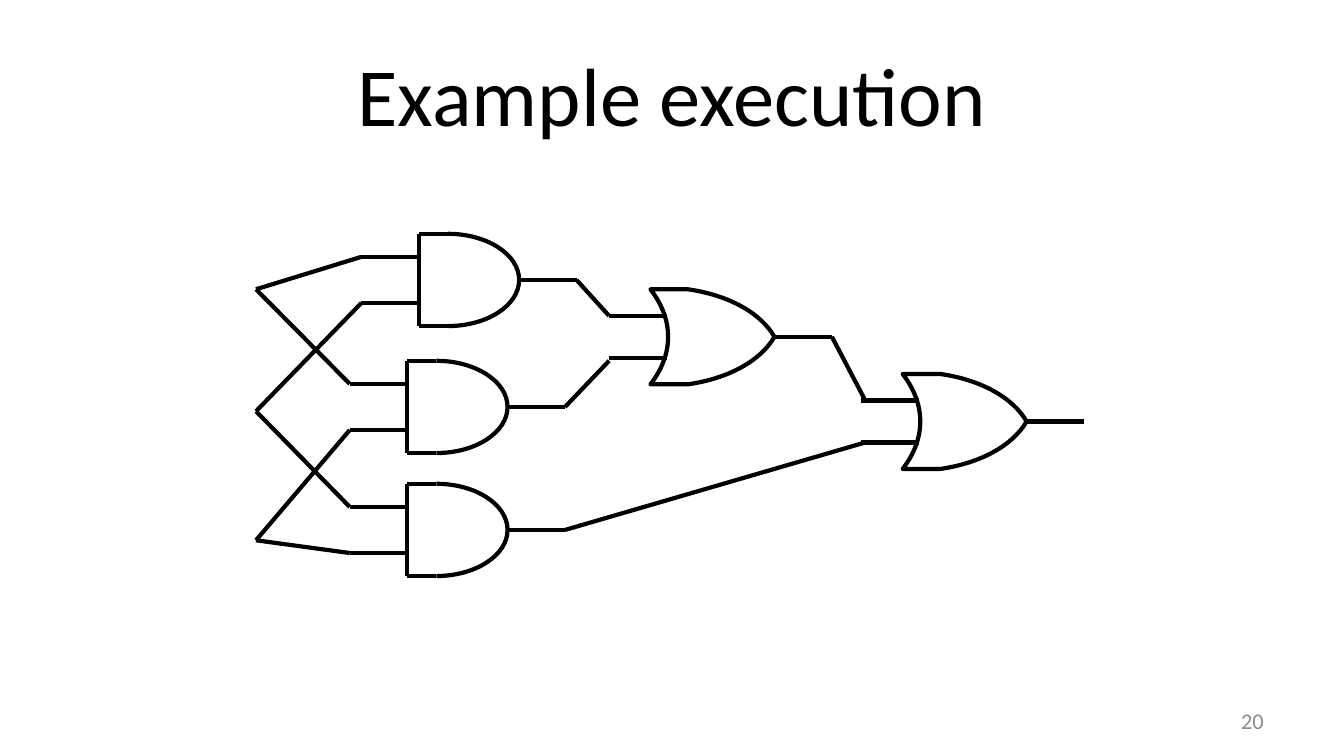
from lxml import etree
from pptx import Presentation
from pptx import util as u
from pptx.dml.color import RGBColor
from pptx.enum import shapes, text
from pptx.oxml import ns

BLACK = RGBColor(0x00, 0x00, 0x00)
GRAY = RGBColor(0x8C, 0x8C, 0x8C)
FONT = "Calibri"
WIDTH, HEIGHT = u.Inches(13.333), u.Inches(7.5)
COLUMNS, ROWS = 160, 90
LEAD = 6.84
AND_WIDTH, AND_HEIGHT, AND_FLAT = 11.94, 10.98, 3.48
OR_WIDTH, OR_HEIGHT = 14.76, 11.32
OR_INPUT = 1.92
ARC = 0.55


def column(count):
    return round(WIDTH * count / COLUMNS)


def row(count):
    return round(HEIGHT * count / ROWS)


def stroke(item):
    item.line.color.rgb = BLACK
    item.line.width = u.Pt(3)


def add_outline(group, start, steps, close):
    points = [(column(x), row(y)) for step in steps for x, y in step]
    builder = group.shapes.build_freeform(column(start[0]), row(start[1]))
    builder.add_line_segments(points, close=close)
    outline = builder.convert_to_shape()
    segments = iter(list(outline._element.iter(ns.qn("a:lnTo"))))
    for step in steps:
        first, *others = [next(segments) for _ in step]
        if others:
            first.tag = ns.qn("a:cubicBezTo")
            for segment in others:
                first.append(segment[0])
                segment.getparent().remove(segment)
    outline.fill.background()
    outline.shadow.inherit = False
    stroke(outline)


def add_wire(owner, start, end):
    wire = owner.shapes.add_connector(
        shapes.MSO_CONNECTOR.STRAIGHT,
        column(start[0]), row(start[1]), column(end[0]), row(end[1]))
    stroke(wire)
    etree.SubElement(wire._element.spPr, ns.qn("a:effectLst"))


def add_leads(group, input_x, input_rows, output):
    end = (output[0] + LEAD, output[1])
    add_wire(group, end, output)
    inputs = [(input_x - LEAD, y) for y in input_rows]
    for start in inputs:
        add_wire(group, (input_x, start[1]), start)
    return inputs, end


def add_and_gate(page, left, top):
    group = page.shapes.add_group_shape()
    flat, right = left + AND_FLAT, left + AND_WIDTH
    middle, bottom = top + AND_HEIGHT / 2, top + AND_HEIGHT
    bulge = flat + ARC * (right - flat)
    for edge in (top, bottom):
        bend = middle + ARC * (edge - middle)
        add_outline(group, (flat, edge), [((bulge, edge), (right, bend), (right, middle))], False)
    for edge in (top, bottom):
        add_wire(group, (flat, edge), (left, edge))
    add_wire(group, (left, top), (left, bottom))
    rows = [top + AND_HEIGHT * share for share in (0.25, 0.75)]
    return add_leads(group, left, rows, (right, middle))


def add_or_gate(page, left, top):
    group = page.shapes.add_group_shape()

    def spots(*shares):
        return [(left + OR_WIDTH * across, top + OR_HEIGHT * down) for across, down in shares]

    tip = spots((1, 0.5))[0]
    add_outline(group, tip, [
        spots((0.89, 0.75), (0.63, 0.94), (0.3, 1)),
        spots((0, 1)),
        spots((0.19, 0.68), (0.19, 0.32), (0, 0)),
        spots((0.3, 0)),
        spots((0.63, 0.06), (0.89, 0.25), (1, 0.5)),
    ], True)
    rows = [top + OR_HEIGHT * share for share in (0.28, 0.72)]
    return add_leads(group, left + OR_INPUT, rows, tip)


def write(box, words, size, color, alignment):
    frame = box.text_frame
    frame.word_wrap = True
    frame.vertical_anchor = text.MSO_ANCHOR.MIDDLE
    frame.margin_left = frame.margin_right = u.Inches(0.13)
    frame.margin_top = frame.margin_bottom = u.Inches(0.07)
    para = frame.paragraphs[0]
    para.alignment = alignment
    span = para.add_run()
    span.text = words
    span.font.name = FONT
    span.font.size = u.Pt(size)
    span.font.color.rgb = color


def add_circuit(page):
    signals = [(30.48, y) for y in (34.44, 48.96, 64.32)]
    and_gates = [add_and_gate(page, left, top)
                 for left, top in ((49.86, 27.84), (48.48, 42.96), (48.48, 57.6))]
    or_gates = [add_or_gate(page, left, top)
                for left, top in ((77.44, 34.44), (107.46, 44.52))]
    for (inputs, _), pair in zip(and_gates, ((0, 1), (0, 2), (1, 2))):
        for end, signal in zip(inputs, pair):
            add_wire(page, end, signals[signal])
    (first_inputs, first_output), (last_inputs, _) = or_gates
    outputs = [output for _, output in and_gates] + [first_output]
    targets = [*first_inputs, *reversed(last_inputs)]
    shifts = ((0, 0), (0, 0.36), (0.48, 0), (0.48, 0))
    for start, (x, y), (across, down) in zip(outputs, targets, shifts):
        add_wire(page, start, (x + across, y + down))


def main():
    deck = Presentation()
    deck.slide_width, deck.slide_height = WIDTH, HEIGHT
    page = deck.slides.add_slide(deck.slide_layouts[5])
    title = page.shapes.title
    title.left, title.top = column(8), row(3.6)
    title.width, title.height = column(144), row(15)
    write(title, "Example execution", 59, BLACK, text.PP_ALIGN.CENTER)
    add_circuit(page)
    number = page.shapes.add_textbox(column(114.6), row(83.4), column(37.4), row(4.8))
    write(number, "20", 16, GRAY, text.PP_ALIGN.RIGHT)
    deck.save("out.pptx")


if __name__ == "__main__":
    main()
